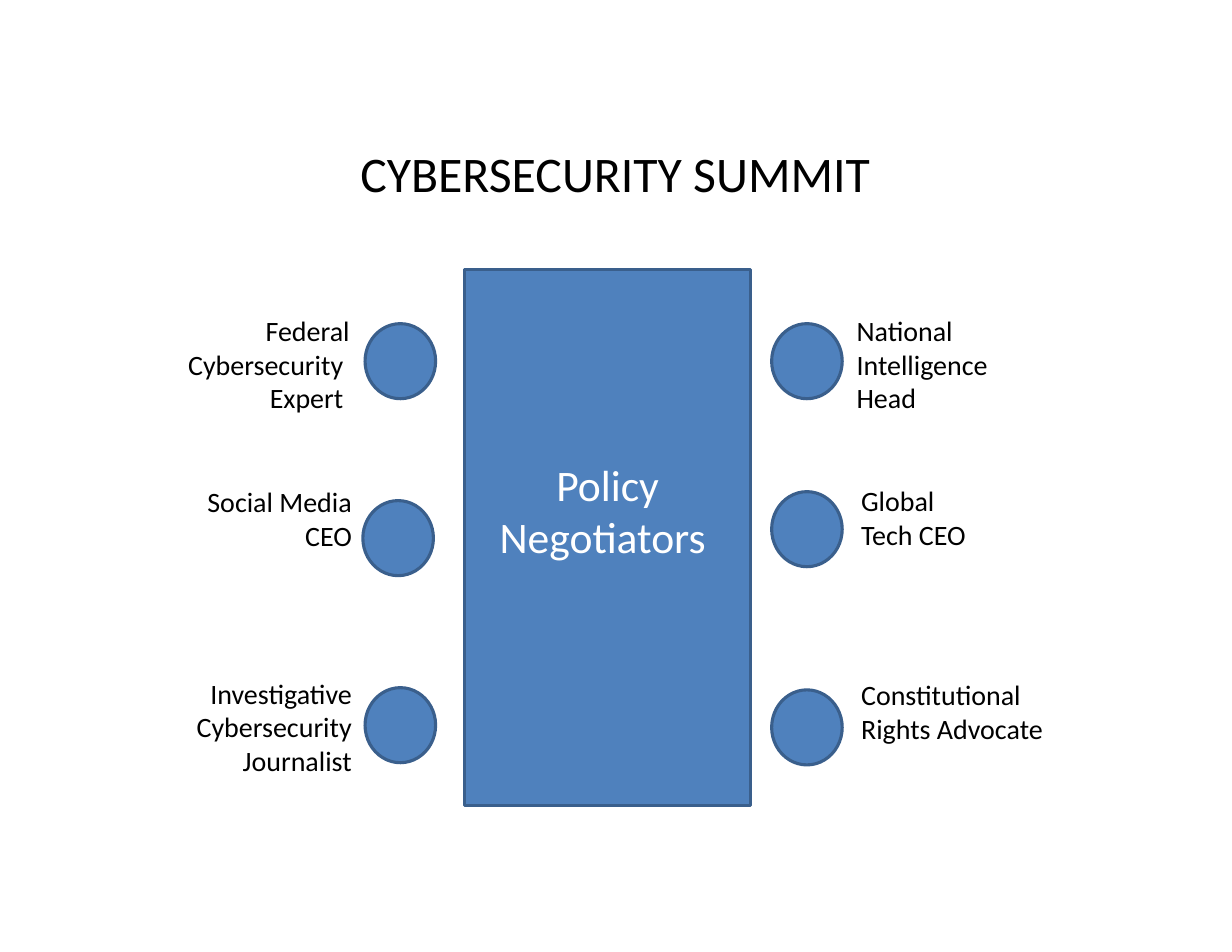
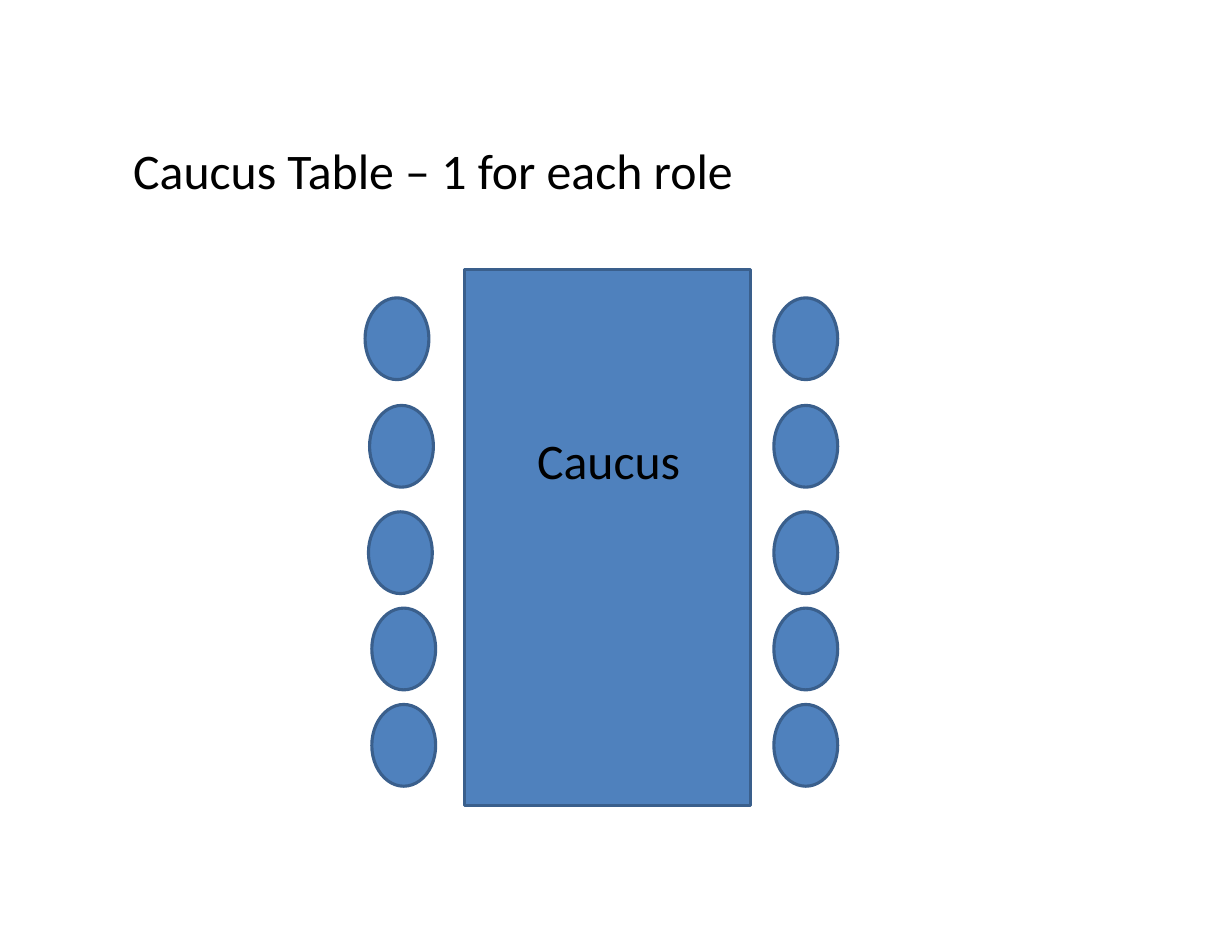
from pptx import Presentation
from pptx import util as u
from pptx.dml.color import RGBColor
from pptx.enum import shapes, text

BLUE, EDGE, BLACK, WHITE = "4F81BD", "3A5F8C", "000000", "FFFFFF"
LEFT, CENTER, RIGHT = text.PP_ALIGN.LEFT, text.PP_ALIGN.CENTER, text.PP_ALIGN.RIGHT


def color(value):
    return RGBColor.from_string(value)


def write(frame, lines, size=18, ink=BLACK, align=LEFT, spacing=None,
          anchor=text.MSO_ANCHOR.TOP):
    """Fill a text frame, one paragraph for each line."""
    frame.word_wrap = True
    frame.vertical_anchor = anchor
    for number, line in enumerate(lines):
        paragraph = frame.add_paragraph() if number else frame.paragraphs[0]
        paragraph.alignment = align
        paragraph.line_spacing = spacing
        run = paragraph.add_run()
        run.text = line
        run.font.name = "Calibri"
        run.font.size = u.Pt(size)
        run.font.color.rgb = color(ink)


class SeatingPlan:
    """Holds the shared style and the current slide."""

    def __init__(self):
        self.presentation = Presentation()
        self.presentation.slide_width = u.Inches(11)
        self.presentation.slide_height = u.Inches(8.5)
        self.slide = None

    def new_slide(self, title, **style):
        self.slide = self.presentation.slides.add_slide(
            self.presentation.slide_layouts[6])
        self.label((1.09, 0.8, 8.81, 1.49), [title], size=32,
                   anchor=text.MSO_ANCHOR.MIDDLE, **style)
        self.table_top()

    def label(self, box, lines, **style):
        textbox = self.slide.shapes.add_textbox(*map(u.Inches, box))
        write(textbox.text_frame, lines, **style)

    def figure(self, kind, box):
        shape = self.slide.shapes.add_shape(kind, *map(u.Inches, box))
        shape.shadow.inherit = False
        shape.fill.solid()
        shape.fill.fore_color.rgb = color(BLUE)
        shape.line.color.rgb = color(EDGE)
        shape.line.width = u.Pt(2)

    def table_top(self):
        self.figure(shapes.MSO_SHAPE.RECTANGLE, (4.15, 2.41, 2.55, 4.78))

    def seats(self, positions, width, height):
        for left, top in positions:
            self.figure(shapes.MSO_SHAPE.OVAL, (left, top, width, height))


def summit_slide(plan):
    plan.new_slide("CYBERSECURITY SUMMIT", align=CENTER)
    plan.label((4.15, 4.04, 2.55, 1.03), ["Policy", "Negotiators "],
               size=28, ink=WHITE, align=CENTER)

    # Seats on both sides of the table
    plan.seats([(3.26, 2.89), (3.24, 4.47), (3.26, 6.14),
                (6.89, 2.89), (6.89, 4.39), (6.89, 6.16)], 0.63, 0.67)

    # Roles, set towards their seats
    roles = [
        (RIGHT, (1.14, 2.75, 2.08, 1.3), ["Federal Cybersecurity ", "Expert "]),
        (RIGHT, (1.5, 4.28, 1.74, 1), ["Social Media CEO"]),
        (RIGHT, (1.14, 5.99, 2.1, 1.3),
         ["Investigative", "Cybersecurity", "Journalist"]),
        (LEFT, (7.55, 2.75, 1.84, 1), ["National Intelligence Head"]),
        (LEFT, (7.59, 4.27, 1.3, 1), ["Global Tech CEO"]),
        (LEFT, (7.59, 6, 2.05, 1.3), ["Constitutional Rights Advocate"]),
    ]
    for align, box, lines in roles:
        plan.label(box, lines, align=align)


def caucus_slide(plan):
    plan.new_slide("Caucus Table – 1 for each role", spacing=0.9)
    plan.label((4.46, 3.79, 1.95, 0.63), ["Caucus"], size=32, align=CENTER)

    # Five rows of facing seats; the left column is slightly uneven
    seat_tops = [2.66, 3.62, 4.57, 5.43, 6.29]
    left_column = [3.26, 3.3, 3.29, 3.32, 3.32]
    for left, top in zip(left_column, seat_tops):
        plan.seats([(left, top), (6.91, top)], 0.57, 0.73)


def main():
    plan = SeatingPlan()
    summit_slide(plan)
    caucus_slide(plan)
    plan.presentation.save("out.pptx")


if __name__ == "__main__":
    main()
